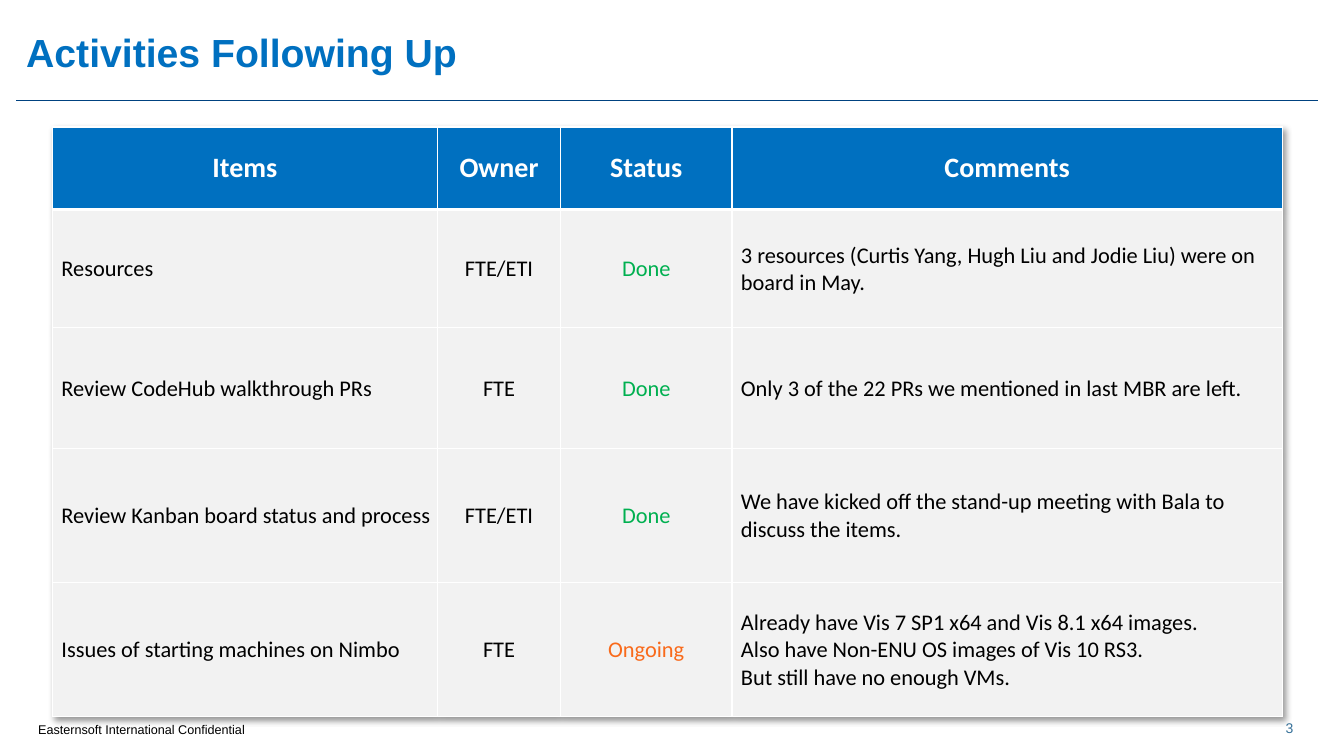
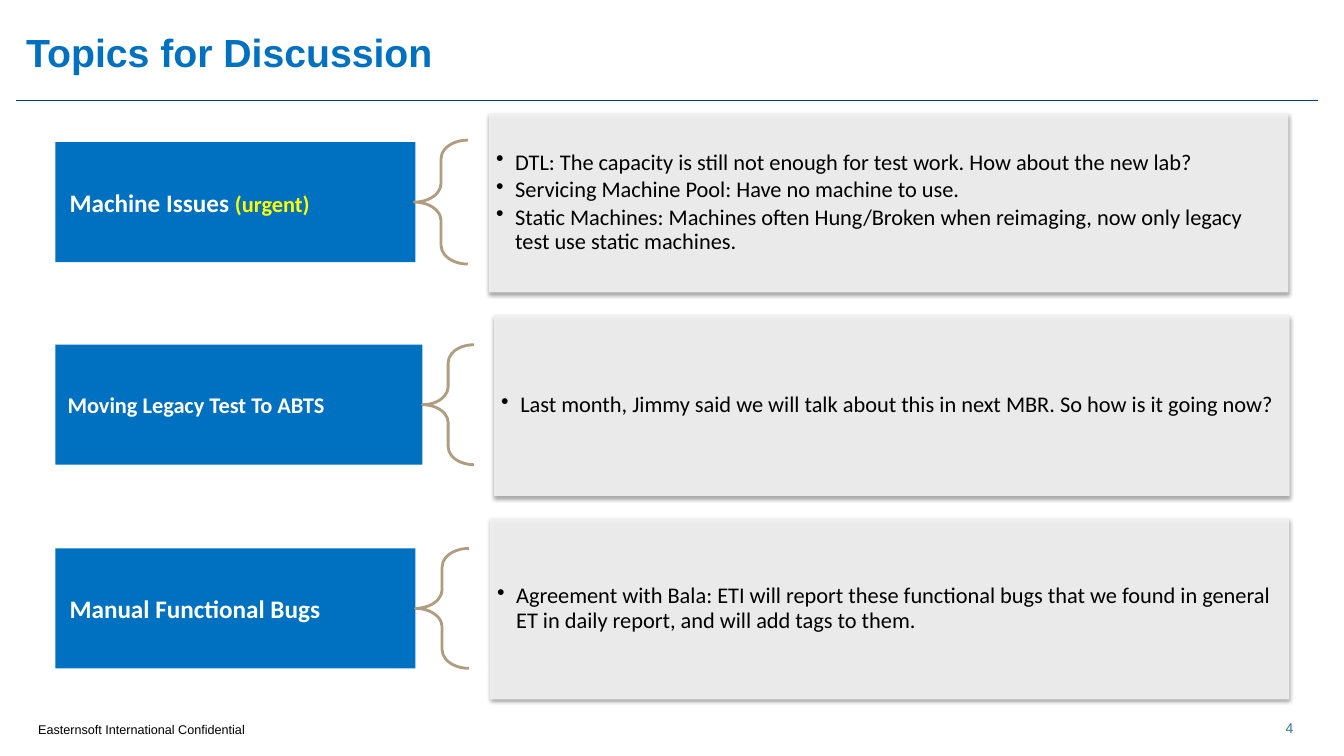
from pptx import Presentation
from pptx.dml.color import RGBColor
from pptx.enum.shapes import MSO_CONNECTOR, MSO_SHAPE
from pptx.enum.text import MSO_ANCHOR, PP_ALIGN
from pptx.oxml import parse_xml
from pptx.oxml.ns import nsdecls, qn
from pptx.util import Emu, Pt
from lxml.etree import SubElement

PX = 9144
BLUE = RGBColor(0x00, 0x70, 0xC0)
NAVY = RGBColor(0x00, 0x42, 0x80)
STEEL = RGBColor(0x38, 0x72, 0x9A)
TAN = RGBColor(0xB0, 0x9D, 0x80)
GRAY = RGBColor(0xF2, 0xF2, 0xF2)
GREEN = RGBColor(0x00, 0xB0, 0x50)
ORANGE = RGBColor(0xF9, 0x6A, 0x1B)
YELLOW = RGBColor(0xFF, 0xFF, 0x00)
WHITE = RGBColor(0xFF, 0xFF, 0xFF)
BLACK = RGBColor(0x00, 0x00, 0x00)


def px(*lengths):
    return [Emu(n * PX) for n in lengths]


def style(tf, size, color, bold=False, font="Calibri", align=PP_ALIGN.LEFT, inset=(0, 0), anchor=MSO_ANCHOR.MIDDLE):
    tf.word_wrap = True
    tf.vertical_anchor = anchor
    tf.margin_left, tf.margin_top, tf.margin_right, tf.margin_bottom = px(*inset, *inset)
    for p in tf.paragraphs:
        p.alignment = align
        for r in p.runs:
            r.font.name, r.font.size, r.font.bold = font, Pt(size), bold
            r.font.color.rgb = color


SHADOW = (
    '<a:outerShdw %s blurRad="{}" dist="{}" dir="{}" algn="tl" rotWithShape="0">'
    '<a:srgbClr val="000000"><a:alpha val="{}"/></a:srgbClr></a:outerShdw>' % nsdecls("a")
)

prs = Presentation()
prs.slide_width, prs.slide_height = px(1333, 750)

slides = []
for number, title in enumerate(["Activities Following Up", "Topics for Discussion"], 3):
    s = prs.slides.add_slide(prs.slide_layouts[6])
    slides.append(s)
    rule = s.shapes.add_connector(MSO_CONNECTOR.STRAIGHT, *px(16, 99, 1307, 99))
    rule.line.color.rgb, rule.line.width = NAVY, Pt(0.1)
    SubElement(rule._element.spPr, qn("a:effectLst"))
    for box, text, look in [
        ((26, 9, 1055, 84), title, dict(size=28, color=BLUE, bold=True)),
        ((1249, 695, 60, 55), str(number), dict(size=10, color=STEEL, align=PP_ALIGN.CENTER)),
        ((28, 711, 539, 37), "Easternsoft International Confidential",
         dict(size=9, color=BLACK, inset=(10, 5), anchor=MSO_ANCHOR.TOP)),
    ]:
        tf = s.shapes.add_textbox(*px(*box)).text_frame
        tf.text = text
        style(tf, font="Arial", **look)

activities, topics = slides

rows = [
    ("Items", "Owner", "Status", "Comments"),
    ("Resources", "FTE/ETI", "Done",
     "3 resources (Curtis Yang, Hugh Liu and Jodie Liu) were on board in May."),
    ("Review CodeHub walkthrough PRs", "FTE", "Done",
     "Only 3 of the 22 PRs we mentioned in last MBR are left."),
    ("Review Kanban board status and process", "FTE/ETI", "Done",
     "We have kicked off the stand-up meeting with Bala to discuss the items."),
    ("Issues of starting machines on Nimbo", "FTE", "Ongoing",
     "Already have Vis 7 SP1 x64 and Vis 8.1 x64 images.\n"
     "Also have Non-ENU OS images of Vis 10 RS3.\n"
     "But still have no enough VMs."),
]
widths = [382, 122, 170, 546]
heights = [82, 117, 120, 133, 133]
status_colors = {"Done": GREEN, "Ongoing": ORANGE}

table = activities.shapes.add_table(
    len(rows), len(widths), *px(52, 126, sum(widths), sum(heights))).table
effects = parse_xml("<a:effectLst %s/>" % nsdecls("a"))
effects.append(parse_xml(SHADOW.format(50800, 38100, 2700000, 40000)))
table._tbl.tblPr.insert(0, effects)
for column, width in zip(table.columns, px(*widths)):
    column.width = width
for i, (height, texts) in enumerate(zip(px(*heights), rows)):
    table.rows[i].height = height
    for j, text in enumerate(texts):
        cell = table.cell(i, j)
        cell.text = text
        centered = i == 0 or j in (1, 2)
        style(cell.text_frame, 16 if i else 20,
              status_colors.get(text, BLACK) if i else WHITE, bold=i == 0,
              align=PP_ALIGN.CENTER if centered else PP_ALIGN.LEFT)
        cell.vertical_anchor = MSO_ANCHOR.MIDDLE
        cell.margin_left, cell.margin_top, cell.margin_right, cell.margin_bottom = px(
            *((1 if centered else 9, 1, 1, 0) if i else (10, 5, 10, 5)))
        tcPr = cell._tc.get_or_add_tcPr()
        for side in ("lnL", "lnR", "lnT", "lnB"):
            thick = (i, side) in ((0, "lnB"), (1, "lnT"))
            ln = SubElement(tcPr, qn("a:" + side), w=str(Pt(3 if thick else 1)))
            SubElement(SubElement(ln, qn("a:solidFill")), qn("a:srgbClr"), val=str(WHITE))
        cell.fill.solid()
        cell.fill.fore_color.rgb = BLUE if i == 0 else GRAY

discussions = [
    ("Machine Issues ", "(urgent)", 18, (14, 5),
     (55, 141, 357, 119), (411, 139, 53, 123), (485, 112, 793, 178),
     ["DTL: The capacity is still not enough for test work. How about the new lab?",
      "Servicing Machine Pool: Have no machine to use.",
      "Static Machines: Machines often Hung/Broken when reimaging, now only legacy test use static machines."]),
    ("Moving Legacy Test To ABTS", "", 16, (12, 4),
     (55, 342, 364, 119), (419, 342, 51, 119), (490, 312, 789, 180),
     ["Last month, Jimmy said we will talk about this in next MBR. So how is it going now?"]),
    ("Manual Functional Bugs", "", 18, (14, 5),
     (55, 544, 357, 119), (412, 544, 53, 119), (486, 514, 793, 180),
     ["Agreement with Bala: ETI will report these functional bugs that we found in general ET in daily report, "
      "and will add tags to them."]),
]
for topic, flag, size, inset, label_box, brace_box, detail_box, points in discussions:
    label = topics.shapes.add_shape(MSO_SHAPE.RECTANGLE, *px(*label_box))
    brace = topics.shapes.add_shape(MSO_SHAPE.LEFT_BRACE, *px(*brace_box))
    detail = topics.shapes.add_shape(MSO_SHAPE.RECTANGLE, *px(*detail_box))
    for sp, color in ((label, BLUE), (detail, GRAY)):
        sp.fill.solid()
        sp.fill.fore_color.rgb = color
        sp.line.fill.background()
        sp.shadow.inherit = False

    label.text_frame.text = topic
    style(label.text_frame, size, WHITE, bold=True, inset=inset)
    if flag:
        r = label.text_frame.paragraphs[0].add_run()
        r.text = flag
        r.font.name, r.font.size, r.font.bold = "Calibri", Pt(16), True
        r.font.color.rgb = YELLOW

    brace.adjustments[0] = 0.35
    brace.fill.background()
    brace.line.color.rgb, brace.line.width = TAN, Pt(2)
    brace.shadow.inherit = False

    spPr = detail._element.spPr
    SubElement(spPr.find(qn("a:solidFill"))[0], qn("a:alpha"), val="90000")
    spPr.find(qn("a:effectLst")).append(parse_xml(SHADOW.format(Pt(3.1), Pt(1.6), 5400000, 38000)))
    detail.text_frame.text = "\n".join(points)
    style(detail.text_frame, 16, BLACK, inset=(7, 7))
    for p in detail.text_frame.paragraphs:
        p.line_spacing, p.space_after = 0.9, Pt(2.4)
        pPr = p._p.get_or_add_pPr()
        pPr.set("marL", str(19 * PX))
        pPr.set("indent", str(-19 * PX))
        SubElement(pPr, qn("a:buChar"), char="•")

prs.save("out.pptx")
